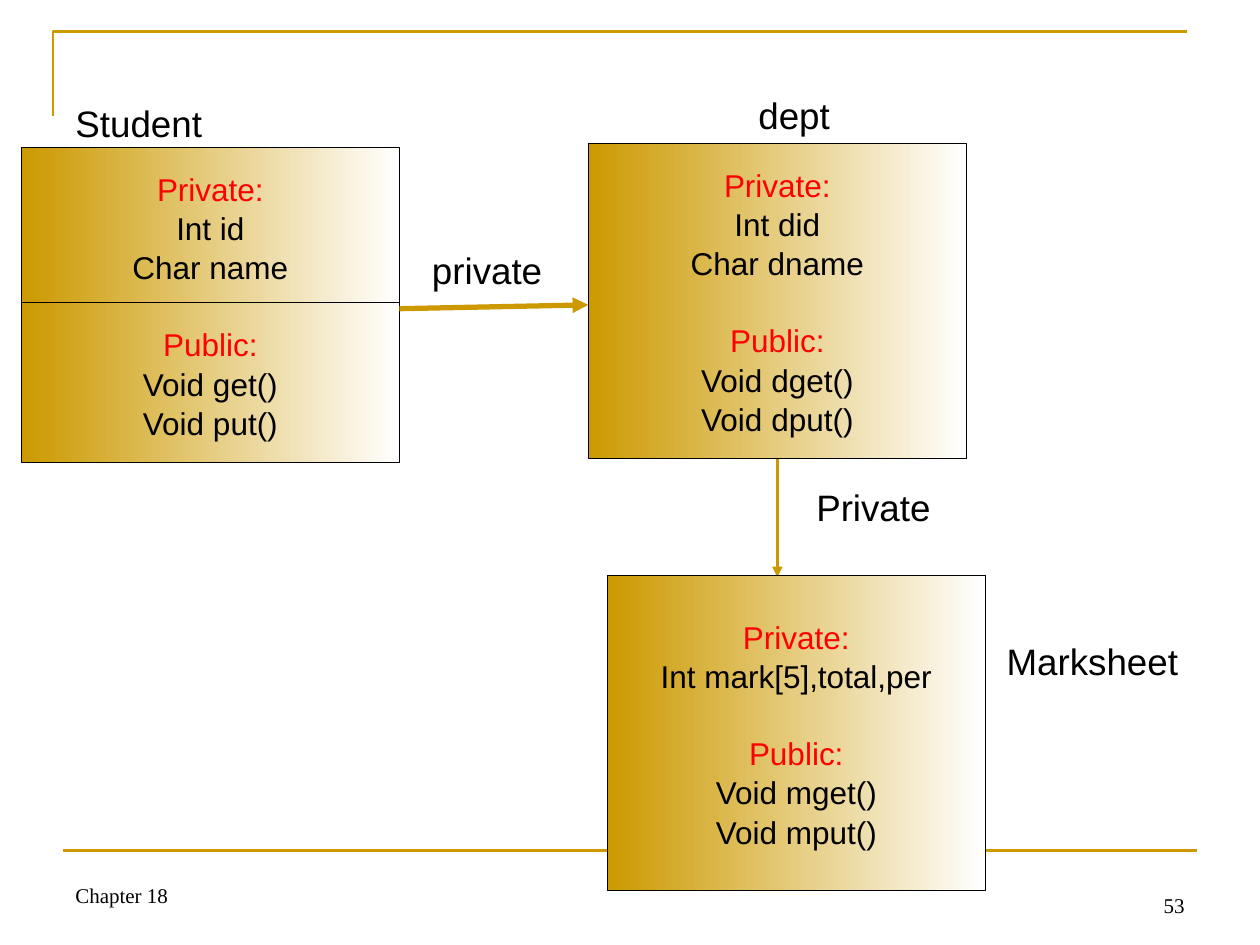
from dataclasses import dataclass

from lxml import etree
from pptx import Presentation
from pptx.dml.color import RGBColor
from pptx.enum.shapes import MSO_CONNECTOR, MSO_SHAPE
from pptx.enum.text import MSO_ANCHOR, PP_ALIGN
from pptx.oxml.ns import qn
from pptx.util import Inches, Pt

STRAIGHT, RECT = MSO_CONNECTOR.STRAIGHT, MSO_SHAPE.RECTANGLE
TOP, MIDDLE, BOTTOM = MSO_ANCHOR.TOP, MSO_ANCHOR.MIDDLE, MSO_ANCHOR.BOTTOM
LEFT, CENTER, RIGHT = PP_ALIGN.LEFT, PP_ALIGN.CENTER, PP_ALIGN.RIGHT


@dataclass(frozen=True)
class Theme:
    gold: RGBColor = RGBColor(0xCC, 0x99, 0x00)
    white: RGBColor = RGBColor(0xFF, 0xFF, 0xFF)
    black: RGBColor = RGBColor(0, 0, 0)
    red: RGBColor = RGBColor(0xFF, 0, 0)
    sans: str = "Arial"
    serif: str = "Times New Roman"
    label: float = 21
    member: float = 18
    footer: float = 12
    member_spacing: float = 1.04
    section_gap: float = 21.6


T = Theme()
BOX_W, BOX_H = 3, 2.5


def write(p, text, size=T.label, font=T.sans, color=T.black, align=LEFT):
    """Put formatted text in a paragraph."""
    p.alignment = align
    r = p.add_run()
    r.text = text
    r.font.size, r.font.name = Pt(size), font
    r.font.color.rgb = color


def add_text(s, box, text, anchor=TOP, **fmt):
    sp = s.shapes.add_textbox(*map(Inches, box))
    tf = sp.text_frame
    tf.word_wrap = True
    tf.vertical_anchor = anchor
    write(tf.paragraphs[0], text, **fmt)


def add_line(s, start, end, color, width, arrow=False):
    sp = s.shapes.add_connector(STRAIGHT, *map(Inches, start + end))
    sp.line.color.rgb = color
    sp.line.width = Pt(width)
    if arrow:
        etree.SubElement(sp.line._get_or_add_ln(), qn("a:tailEnd"), type="triangle")
    etree.SubElement(sp._element.spPr, qn("a:effectLst"))


def add_frame(s, box):
    """Corner rule at the top, straight rule at the bottom, footer texts."""
    x, y, w, h = box
    fb = s.shapes.build_freeform(Inches(x), Inches(y + 0.67))
    fb.add_line_segments([(Inches(x), Inches(y)), (Inches(x + w), Inches(y))], close=False)
    sp = fb.convert_to_shape()
    sp.shadow.inherit = False
    sp.fill.background()
    sp.line.color.rgb = T.gold
    sp.line.width = Pt(1.5)

    left, rule = x + 0.08, y + h
    add_line(s, (left, rule), (left + w, rule), T.gold, 1.5)
    fmt = dict(anchor=BOTTOM, size=T.footer, font=T.serif)
    add_text(s, (left, rule, 3.17, 0.5), "Chapter 18", **fmt)
    add_text(s, (left + w - 2.33, rule + 0.08, 2.33, 0.5), "53", align=RIGHT, **fmt)


def add_class(s, box, private, public):
    """Class box listing its private and public members."""
    sp = s.shapes.add_shape(RECT, *map(Inches, box))
    sp.shadow.inherit = False
    sp.fill.gradient()
    sp.fill.gradient_angle = 0
    for stop, position, color in zip(sp.fill.gradient_stops, (0, 1), (T.gold, T.white)):
        stop.position = position
        stop.color.rgb = color
    sp.line.color.rgb = T.black
    sp.line.width = Pt(0.75)

    tf = sp.text_frame
    tf.word_wrap = False
    tf.vertical_anchor = MIDDLE
    p = tf.paragraphs[0]
    for heading, members in (("Private:", private), ("Public:", public)):
        if members is public:
            p = tf.add_paragraph()
            p.space_before = Pt(T.section_gap)
        write(p, heading, size=T.member, color=T.red, align=CENTER)
        for member in members:
            write(tf.add_paragraph(), member, size=T.member, align=CENTER)
    for p in tf.paragraphs:
        p.line_spacing = T.member_spacing


def add_diagram(s, box):
    """Three classes, each holding the next as a private member."""
    x, y = box[:2]
    right, dept_x = x + BOX_W, x + 4.5
    dept_y, marks_y = y - 0.03, y + 3.4
    dept_mid, dept_bottom = dept_x + BOX_W / 2, dept_y + BOX_H

    # Student and dept
    add_class(s, (x, y, BOX_W, BOX_H), ["Int id", "Char name"], ["Void get()", "Void put()"])
    add_line(s, (x, y + 1.23), (right, y + 1.23), T.black, 0.75)
    add_class(s, (dept_x, dept_y, BOX_W, BOX_H),
              ["Int did", "Char dname"], ["Void dget()", "Void dput()"])

    # Arrows, the lower one running under the Marksheet box
    add_line(s, (right, y + 1.28), (dept_x, dept_y + 1.28), T.gold, 3, arrow=True)
    add_line(s, (dept_mid, dept_bottom), (dept_mid, marks_y + 0.01), T.gold, 2, arrow=True)

    # Marksheet
    add_class(s, (dept_x + 0.15, marks_y, BOX_W, BOX_H),
              ["Int mark[5],total,per"], ["Void mget()", "Void mput()"])

    # Names of classes and relations
    for text, left, top, width in (
        ("Student", 0.5, 0.75, 1.58),
        ("dept", 5.92, 0.69, 1.58),
        ("private", 3.33, 1.92, 1.08),
        ("Private", 6.38, 3.8, 1.29),
        ("Marksheet", 7.89, 5.02, 1.58),
    ):
        add_text(s, (left, top, width, 0.45), text)


def main():
    prs = Presentation()
    prs.slide_width, prs.slide_height = Inches(10), Inches(7.5)
    s = prs.slides.add_slide(prs.slide_layouts[6])
    add_frame(s, (0.42, 0.25, 9, 6.5))
    add_diagram(s, (0.17, 1.17, 9.3, 5.9))
    prs.save("out.pptx")


if __name__ == "__main__":
    main()
